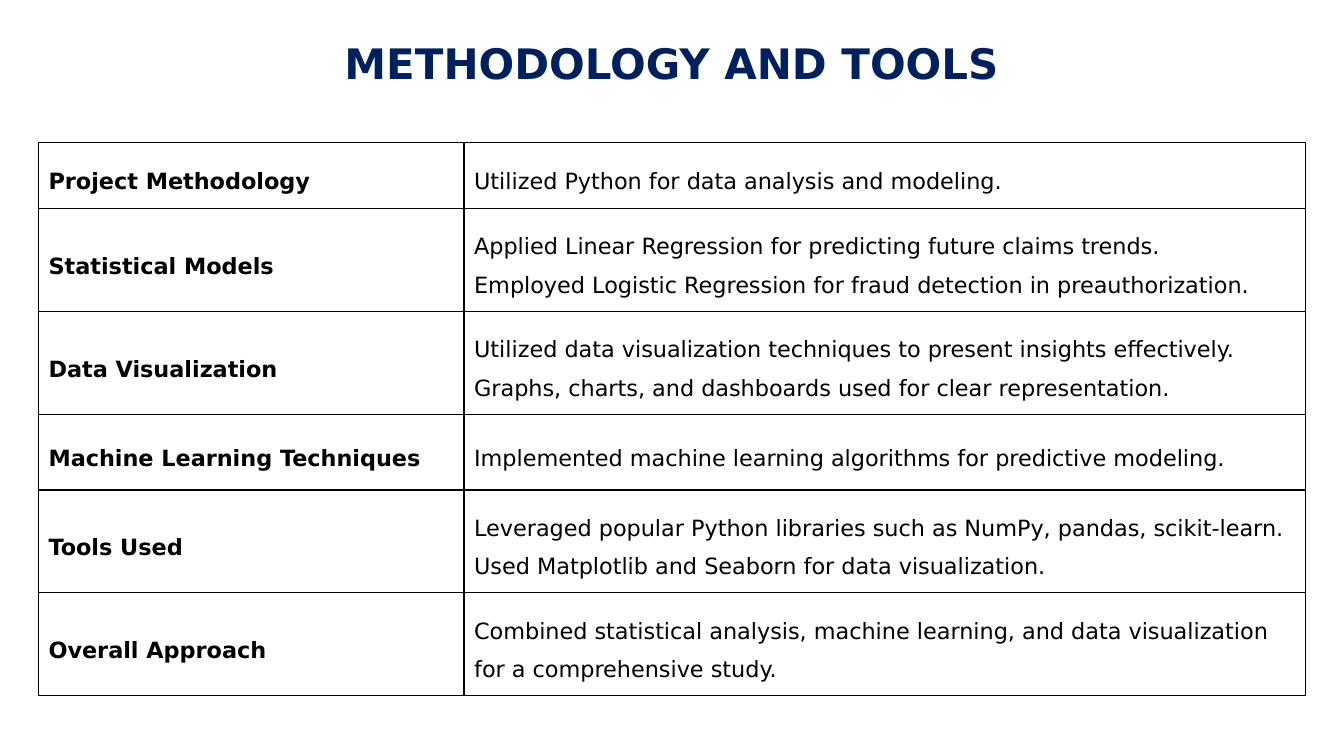
from lxml import etree
from pptx import Presentation
from pptx.dml.color import RGBColor
from pptx.enum import text
from pptx.oxml import ns
from pptx.util import Pt

FONT = "DejaVu Sans"
BLACK, WHITE, NAVY = "000000", "FFFFFF", "002060"
COLUMN_WIDTHS = (304, 601)
ROWS = [
    (47.5, "Project Methodology",
     ["Utilized Python for data analysis and modeling."]),
    (73.5, "Statistical Models",
     ["Applied Linear Regression for predicting future claims trends.",
      "Employed Logistic Regression for fraud detection in preauthorization."]),
    (73.5, "Data Visualization",
     ["Utilized data visualization techniques to present insights effectively.",
      "Graphs, charts, and dashboards used for clear representation."]),
    (54, "Machine Learning Techniques",
     ["Implemented machine learning algorithms for predictive modeling."]),
    (73.5, "Tools Used",
     ["Leveraged popular Python libraries such as NumPy, pandas, scikit-learn.",
      "Used Matplotlib and Seaborn for data visualization."]),
    (73.5, "Overall Approach",
     ["Combined statistical analysis, machine learning, and data visualization "
      "for a comprehensive study."]),
]


def rgb(color):
    return RGBColor.from_string(color)


def set_font(p, size, color, bold):
    p.font.name = FONT
    p.font.size = Pt(size)
    p.font.bold = bold
    p.font.color.rgb = rgb(color)


def add_title(slide, title):
    sp = slide.shapes.title
    sp.left, sp.top, sp.width, sp.height = Pt(196.5), Pt(23), Pt(566.5), Pt(44)
    tf = sp.text_frame
    tf.text = title
    tf.auto_size = text.MSO_AUTO_SIZE.NONE
    tf.vertical_anchor = text.MSO_ANCHOR.MIDDLE
    p = tf.paragraphs[0]
    p.alignment = text.PP_ALIGN.CENTER
    set_font(p, 30, NAVY, True)


def set_borders(cell, color, width):
    tc_pr = cell._tc.get_or_add_tcPr()
    for side in ("lnL", "lnR", "lnT", "lnB"):
        line = etree.SubElement(tc_pr, ns.qn(f"a:{side}"), w=str(Pt(width)))
        fill = etree.SubElement(line, ns.qn("a:solidFill"))
        etree.SubElement(fill, ns.qn("a:srgbClr"), val=color)


def fill_cell(cell, lines, bold):
    set_borders(cell, BLACK, 1)
    cell.fill.solid()
    cell.fill.fore_color.rgb = rgb(WHITE)
    cell.vertical_anchor = text.MSO_ANCHOR.MIDDLE
    tf = cell.text_frame
    tf.text = "\n".join(lines)
    for p in tf.paragraphs:
        p.line_spacing = 1.5
        set_font(p, 16, BLACK, bold)


def add_methods_table(slide):
    heights = [height for height, _, _ in ROWS]
    table = slide.shapes.add_table(
        len(ROWS), len(COLUMN_WIDTHS), Pt(27.5), Pt(101.5),
        Pt(sum(COLUMN_WIDTHS)), Pt(sum(heights))).table
    table.first_row = table.horz_banding = False
    for column, width in zip(table.columns, COLUMN_WIDTHS):
        column.width = Pt(width)
    for row, (height, topic, details) in zip(table.rows, ROWS):
        row.height = Pt(height)
        fill_cell(row.cells[0], [topic], True)
        fill_cell(row.cells[1], details, False)


def main():
    prs = Presentation()
    prs.slide_width, prs.slide_height = Pt(960), Pt(540)
    slide = prs.slides.add_slide(prs.slide_layouts.get_by_name("Title Only"))
    add_methods_table(slide)
    add_title(slide, "METHODOLOGY AND TOOLS")
    prs.save("out.pptx")


if __name__ == "__main__":
    main()
